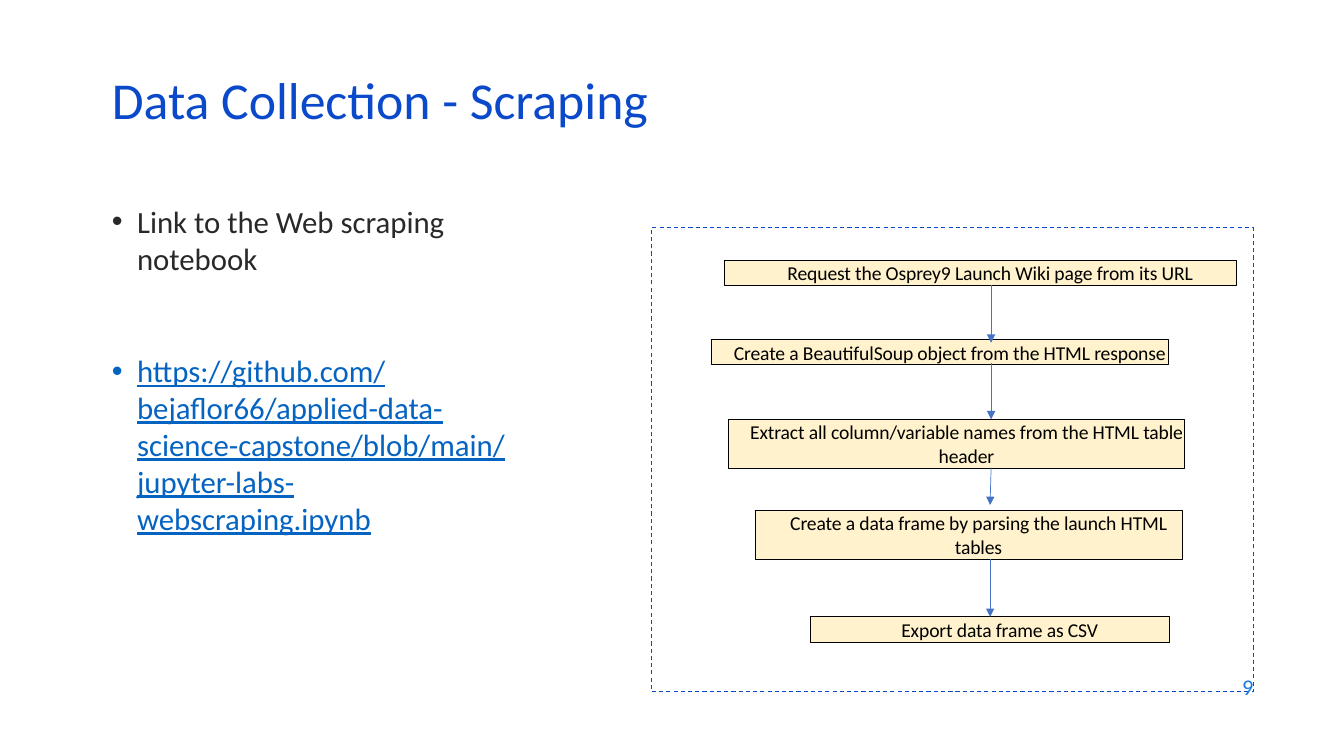
from dataclasses import dataclass
from typing import Optional

from lxml import etree
from pptx import Presentation
from pptx import util as u
from pptx.dml.color import RGBColor
from pptx.enum import dml, shapes, text
from pptx.oxml.ns import qn

# Grid: 133.3 columns by 75 rows of square cells
CELL = u.Inches(0.1)
COLS, ROWS = 133.3, 75
FONT = "Calibri"
COLORS = {
    "title": "0B49CB", "body": "292929", "link": "0563C1", "number": "1C7DDB",
    "box": "FFF2CC", "ink": "000000", "arrow": "4472C4",
}


@dataclass
class Area:
    col: float
    row: float
    cols: float
    rows: float


@dataclass
class Step:
    label: str
    area: Area


@dataclass
class Arrow:
    col: float
    start: float
    end_col: float
    end: float
    target: Optional[int] = None  # step whose top middle it joins


STEPS = [
    Step("Request the Osprey9 Launch Wiki page from its URL", Area(71.9, 25.8, 50.7, 2.5)),
    Step("Create a BeautifulSoup object from the HTML response", Area(70.6, 33.7, 45.3, 2.5)),
    Step("Extract all column/variable names from the HTML table header",
         Area(72.3, 41.6, 45.2, 4.9)),
    Step("Create a data frame by parsing the launch HTML tables", Area(74.9, 50.6, 42.4, 4.9)),
    Step("Export data frame as CSV", Area(80.4, 61.2, 35.6, 2.5)),
]
ARROWS = [
    Arrow(98.3, 28.3, 98.3, 34),
    Arrow(98.3, 36, 98.3, 41.6),
    Arrow(98.3, 46.4, 98.2, 50.1),
    Arrow(98.2, 55.5, 98.2, 61.2, target=4),
]


def cells(n: float) -> int:
    return int(n * CELL)


def color(name: str) -> RGBColor:
    return RGBColor.from_string(COLORS[name])


def box_of(area: Area) -> tuple:
    return cells(area.col), cells(area.row), cells(area.cols), cells(area.rows)


def place(sp, area: Area) -> None:
    sp.left, sp.top, sp.width, sp.height = box_of(area)


def write(p, words: str, *, size: float, ink: str, align=text.PP_ALIGN.LEFT,
          underline: bool = False, before: float = 0, spacing: Optional[float] = None,
          margin: float = 0, hanging: float = 0, bullet: str = ""):
    """Fill a paragraph with one formatted run and return the run."""
    pPr = p._p.get_or_add_pPr()
    pPr.set("marL", str(cells(margin)))
    pPr.set("indent", str(-cells(hanging)))
    if bullet:
        etree.SubElement(pPr, qn("a:buChar"), char=bullet)
    p.alignment = align
    p.space_before = u.Pt(before)
    if spacing:
        p.line_spacing = spacing
    r = p.add_run()
    r.text = words
    r.font.name, r.font.size = FONT, u.Pt(size)
    r.font.color.rgb = color(ink)
    if underline:
        r.font.underline = True
    return r


def add_rect(slide, area: Area, line: str, fill: str = ""):
    sp = slide.shapes.add_shape(shapes.MSO_SHAPE.RECTANGLE, *box_of(area))
    sp.shadow.inherit = False
    if fill:
        sp.fill.solid()
        sp.fill.fore_color.rgb = color(fill)
    else:
        sp.fill.background()
    sp.line.color.rgb = color(line)
    sp.line.width = u.Pt(0.75)
    return sp


def add_step(slide, step: Step):
    sp = add_rect(slide, step.area, "ink", "box")
    tf = sp.text_frame
    tf.margin_left = tf.margin_right = tf.margin_bottom = 0
    tf.margin_top = cells(0.1)
    tf.vertical_anchor = text.MSO_ANCHOR.TOP
    tf.word_wrap = True
    tf.auto_size = text.MSO_AUTO_SIZE.SHAPE_TO_FIT_TEXT
    r = write(tf.paragraphs[0], step.label, size=14, ink="ink",
              align=text.PP_ALIGN.CENTER, margin=1.9)
    # Slightly tight letters with a thin outline
    rPr = r._r.get_or_add_rPr()
    rPr.set("spc", "-10")
    ln = etree.Element(qn("a:ln"), w=str(u.Pt(0.75)))
    fill = etree.SubElement(ln, qn("a:solidFill"))
    etree.SubElement(fill, qn("a:srgbClr"), val=COLORS["arrow"])
    rPr.insert(0, ln)
    return sp


def add_arrow(slide, arrow: Arrow, boxes: list) -> None:
    cx = slide.shapes.add_connector(
        shapes.MSO_CONNECTOR.STRAIGHT, cells(arrow.col), cells(arrow.start),
        cells(arrow.end_col), cells(arrow.end))
    if arrow.target is not None:
        cx.end_connect(boxes[arrow.target], 0)
    cx.line.color.rgb = color("arrow")
    cx.line.width = u.Pt(0.5)
    etree.SubElement(cx.line._get_or_add_ln(), qn("a:tailEnd"), type="triangle")
    etree.SubElement(cx._element.spPr, qn("a:effectLst"))


def main() -> None:
    prs = Presentation()
    prs.slide_width, prs.slide_height = cells(COLS), cells(ROWS)
    slide = prs.slides.add_slide(prs.slide_layouts[1])

    # Title
    title = slide.shapes.title
    place(title, Area(10.1, 7.6, 115, 6))
    title.text_frame.auto_size = text.MSO_AUTO_SIZE.NONE
    title.text_frame.vertical_anchor = text.MSO_ANCHOR.MIDDLE
    write(title.text_frame.paragraphs[0], "Data Collection - Scraping",
          size=37, ink="title", spacing=0.7)

    # Notebook link
    body = slide.placeholders[1]
    place(body, Area(10.1, 19.6, 43, 41.7))
    tf = body.text_frame
    tf.auto_size = text.MSO_AUTO_SIZE.NONE
    item = dict(size=22, margin=2.5, hanging=2.5, bullet="•")
    write(tf.paragraphs[0], "Link to the Web scraping notebook", ink="body", **item)
    write(tf.add_paragraph(),
          "https://github.com/bejaflor66/applied-data-science-capstone/blob/main/"
          "jupyter-labs-webscraping.ipynb",
          ink="link", underline=True, before=54, **item)

    # Flowchart
    frame = add_rect(slide, Area(64.6, 22.6, 59.7, 46), "title")
    frame.line.dash_style = dml.MSO_LINE.DASH
    boxes = [add_step(slide, step) for step in STEPS]
    for arrow in ARROWS:
        add_arrow(slide, arrow, boxes)

    # Slide number
    number = slide.shapes.add_textbox(*box_of(Area(95.3, 65.9, 30, 4.4)))
    number.text_frame.word_wrap = True
    number.text_frame.vertical_anchor = text.MSO_ANCHOR.MIDDLE
    write(number.text_frame.paragraphs[0], "9", size=16, ink="number",
          align=text.PP_ALIGN.RIGHT)

    prs.save("out.pptx")


if __name__ == "__main__":
    main()
